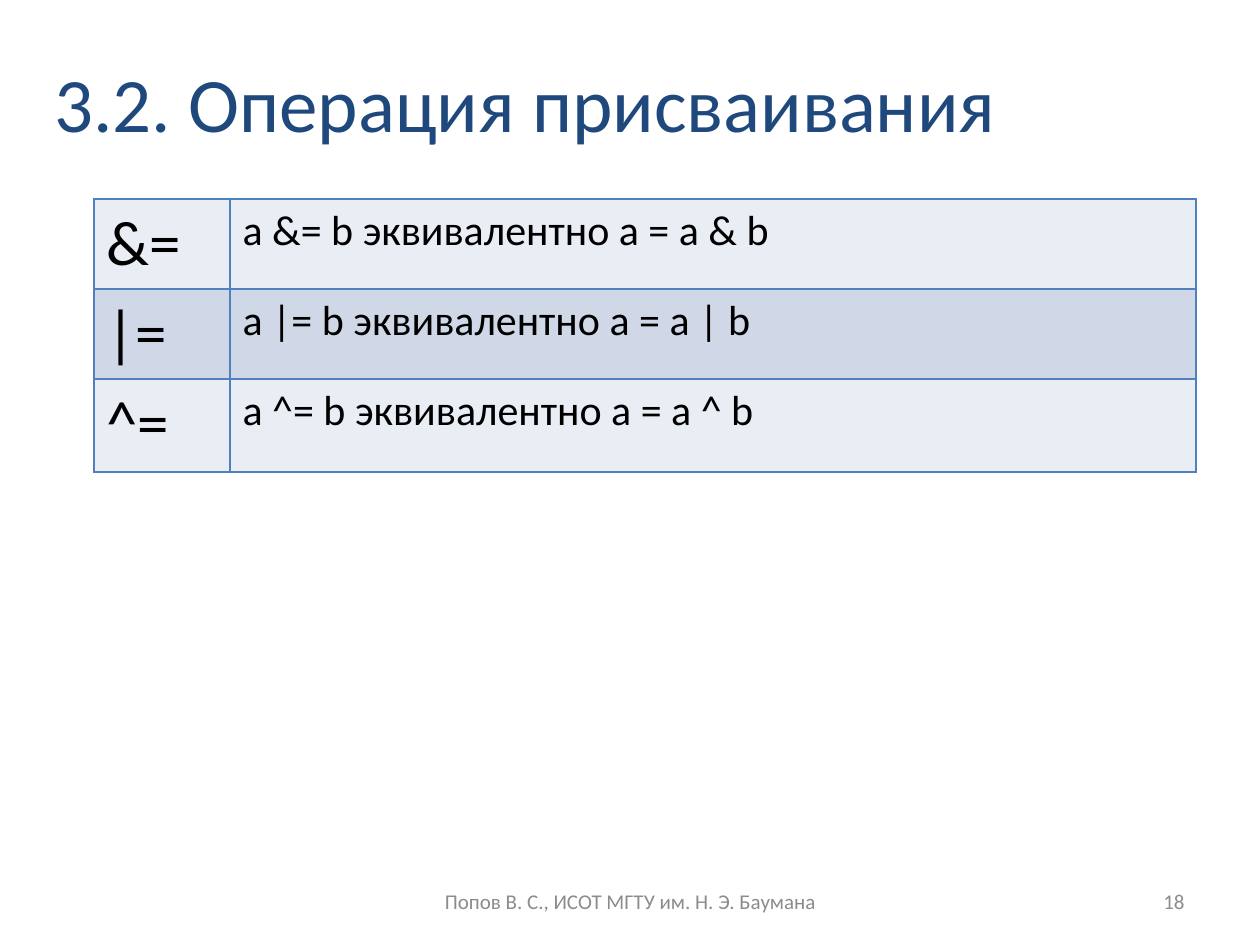
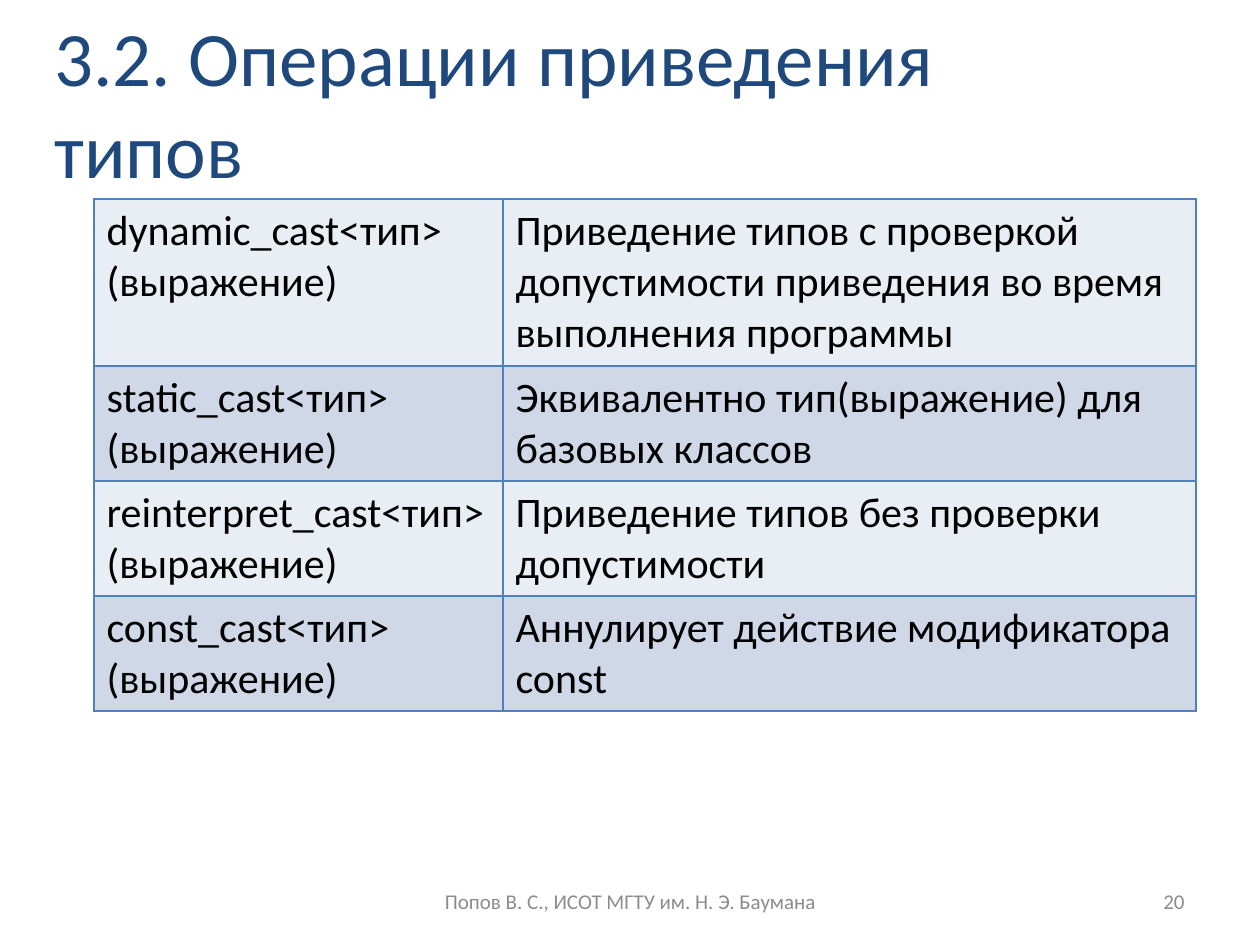
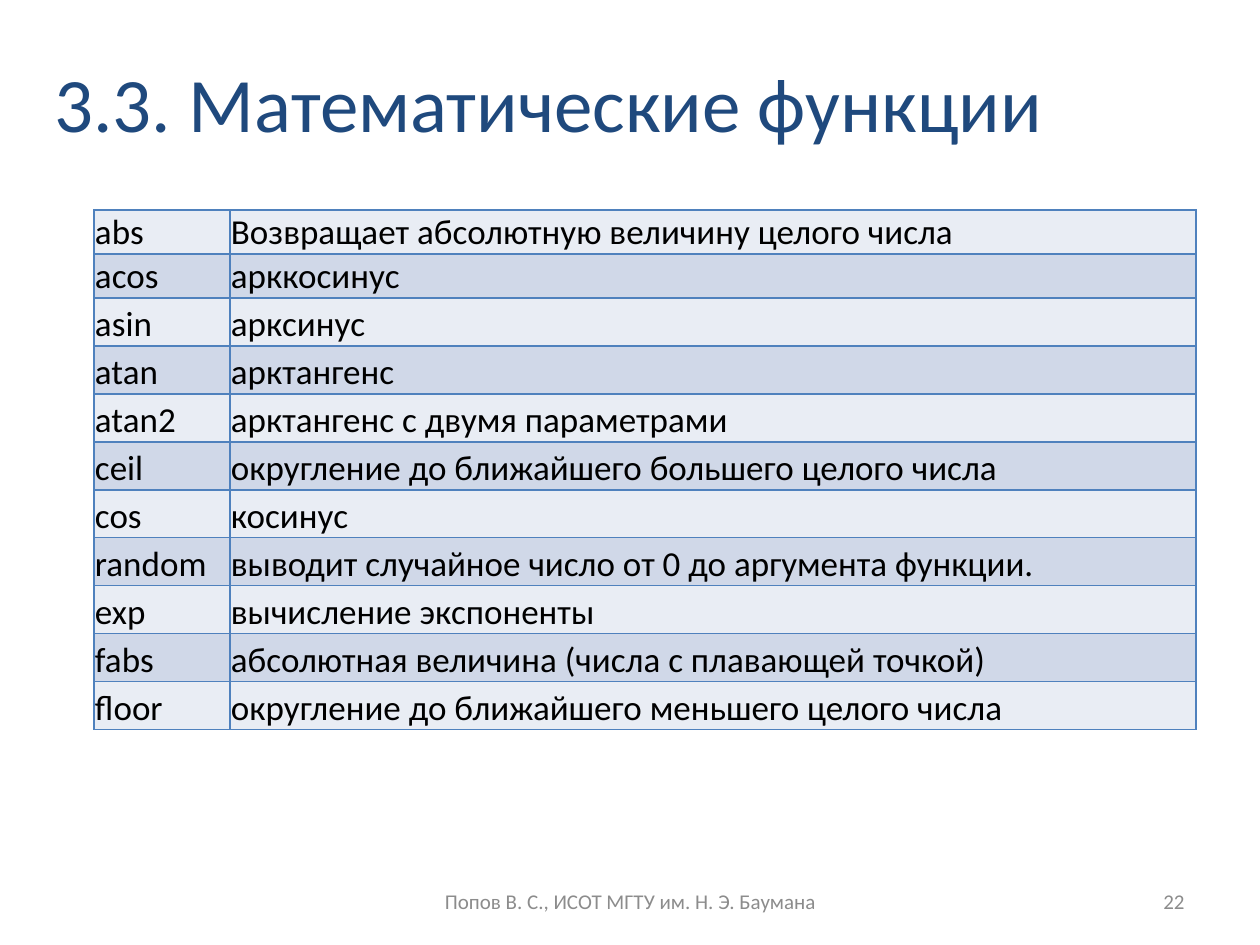
from lxml import etree
from pptx import Presentation
from pptx import util as u
from pptx.dml import color
from pptx.enum import text
from pptx.oxml import ns

SCALE = 914400 / 126
FONT = "Calibri"
TITLE_COLOUR = "1F497D"
FOOTER_COLOUR = "8C8C8C"
TEXT_COLOUR = "000000"
BORDER_COLOUR = "4F81BD"
BAND_COLOURS = ("E9EDF4", "D0D8E8")
FOOTER = "Попов В. С., ИСОТ МГТУ им. Н. Э. Баумана"
TABLE_LEFT = 94

ASSIGNMENTS = [
    ("&=", "a &= b эквивалентно a = a & b"),
    ("|=", "a |= b эквивалентно a = a | b"),
    ("^=", "a ^= b эквивалентно a = a ^ b"),
]

CASTS = [
    ("dynamic_cast<тип>\n(выражение)",
     "Приведение типов с проверкой допустимости приведения во время выполнения программы"),
    ("static_cast<тип>\n(выражение)", "Эквивалентно тип(выражение) для базовых классов"),
    ("reinterpret_cast<тип>\n(выражение)", "Приведение типов без проверки допустимости"),
    ("const_cast<тип>\n(выражение)", "Аннулирует действие модификатора const"),
]

FUNCTIONS = [
    ("abs", "Возвращает абсолютную величину целого числа"),
    ("acos", "арккосинус"),
    ("asin", "арксинус"),
    ("atan", "арктангенс"),
    ("atan2", "арктангенс с двумя параметрами"),
    ("ceil", "округление до ближайшего большего целого числа"),
    ("cos", "косинус"),
    ("random", "выводит случайное число от 0 до аргумента функции."),
    ("exp", "вычисление экспоненты"),
    ("fabs", "абсолютная величина (числа с плавающей точкой)"),
    ("floor", "округление до ближайшего меньшего целого числа"),
]


def px(length):
    """Turn pixels into EMU."""
    return u.Emu(round(length * SCALE))


def rgb(value):
    """Turn a hex string into a colour."""
    return color.RGBColor.from_string(value)


def write(frame, words, size, colour=TEXT_COLOUR, align=text.PP_ALIGN.LEFT):
    """Write one formatted paragraph, with line breaks where the words have them."""
    para = frame.paragraphs[0]
    para.alignment = align
    for index, line in enumerate(words.split("\n")):
        if index:
            para.add_line_break()
        span = para.add_run()
        span.text = line
        span.font.name = FONT
        span.font.size = u.Pt(size)
        span.font.color.rgb = rgb(colour)


def add_text(page, words, left, top, width, height, **style):
    """Add a wrapped text box with vertically centred text."""
    box = page.shapes.add_textbox(px(left), px(top), px(width), px(height))
    box.text_frame.word_wrap = True
    box.text_frame.vertical_anchor = text.MSO_ANCHOR.MIDDLE
    write(box.text_frame, words, **style)


def add_borders(cell):
    """Draw a thin line on the four sides of a cell."""
    properties = cell._tc.get_or_add_tcPr()
    for side in ("a:lnL", "a:lnR", "a:lnT", "a:lnB"):
        line = etree.SubElement(properties, ns.qn(side), w=str(u.Pt(1)))
        fill = etree.SubElement(line, ns.qn("a:solidFill"))
        etree.SubElement(fill, ns.qn("a:srgbClr"), val=BORDER_COLOUR)


def add_banded_table(page, rows, top, widths, heights, sizes, tight=False):
    """Add a bordered table with rows in alternating colours."""
    frame = page.shapes.add_table(len(rows), len(widths), px(TABLE_LEFT), px(top),
                                  px(sum(widths)), px(sum(heights)))
    table = frame.table
    table.first_row = False
    for column, width in zip(table.columns, widths):
        column.width = px(width)
    for index, (row, height) in enumerate(zip(table.rows, heights)):
        row.height = px(height)
        for cell, words, size in zip(row.cells, rows[index], sizes):
            add_borders(cell)
            cell.fill.solid()
            cell.fill.fore_color.rgb = rgb(BAND_COLOURS[index % 2])
            if tight:
                cell.vertical_anchor = text.MSO_ANCHOR.BOTTOM
                cell.margin_left = cell.margin_right = cell.margin_top = px(1)
                cell.margin_bottom = 0
            write(cell.text_frame, words, size)


def add_page(deck, title, number):
    """Add a blank slide with its title, page number and footer."""
    page = deck.slides.add_slide(deck.slide_layouts[6])
    add_text(page, title, 42, 0, 1029, 203, size=44, colour=TITLE_COLOUR)
    add_text(page, str(number), 903, 876, 294, 50, size=12, colour=FOOTER_COLOUR,
             align=text.PP_ALIGN.RIGHT)
    add_text(page, FOOTER, 431, 876, 399, 50, size=12, colour=FOOTER_COLOUR,
             align=text.PP_ALIGN.CENTER)
    return page


def main():
    """Build the three slides and save the deck."""
    deck = Presentation()
    deck.slide_width, deck.slide_height = px(1260), px(945)

    page = add_page(deck, "3.2. Операция присваивания", 18)
    add_banded_table(page, ASSIGNMENTS, 199, (136, 966), (90, 90, 93), (36, 24))

    page = add_page(deck, "3.2. Операции приведения типов", 20)
    add_banded_table(page, CASTS, 199, (409, 693), (167, 115, 115, 115), (24, 24))

    page = add_page(deck, "3.3. Математические функции", 22)
    add_banded_table(page, FUNCTIONS, 210, (136, 966), [44] * 2 + [48] * 9, (20, 20),
                     tight=True)

    deck.save("out.pptx")


main()
